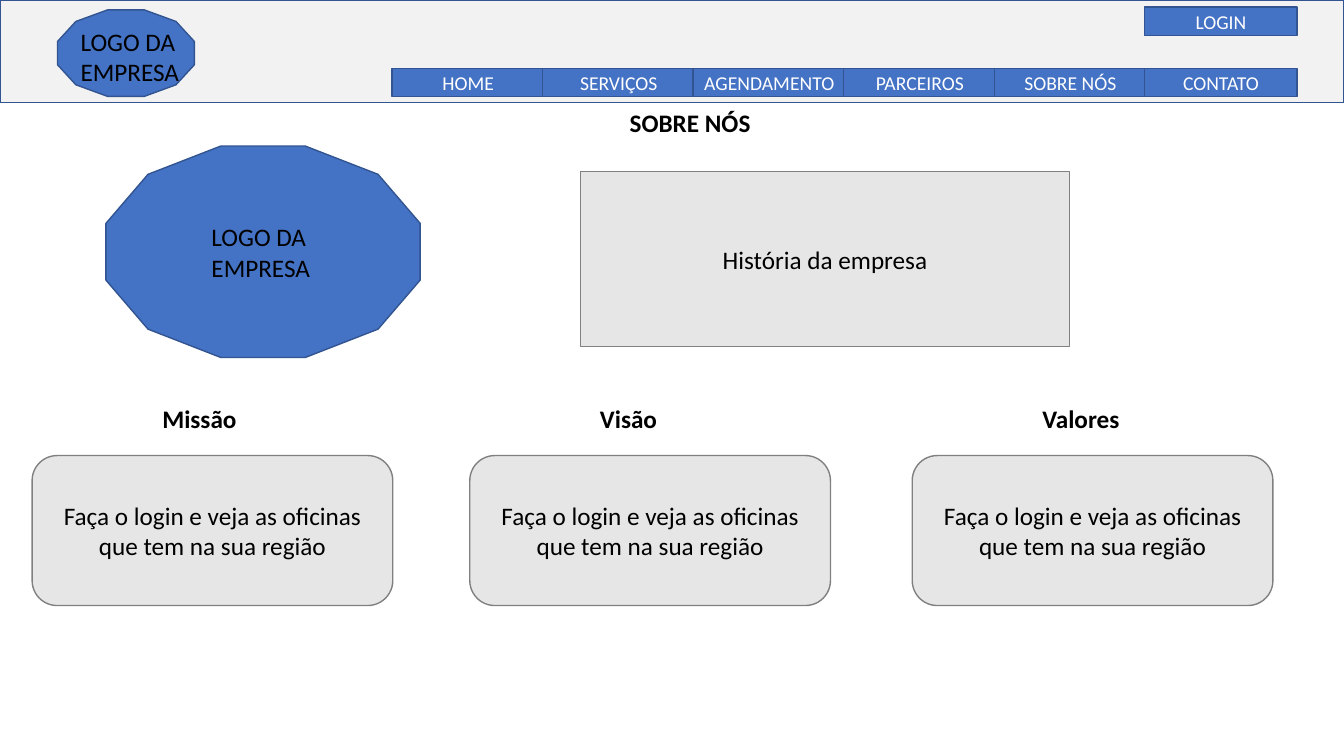
from pptx import Presentation
from pptx.dml.color import RGBColor
from pptx.enum import shapes, text
from pptx.util import Cm, Pt

COLORS = {
    "band": "F2F2F2", "blue": "4472C4", "navy": "325491",
    "panel": "E7E6E6", "gray": "808080", "black": "000000", "white": "FFFFFF",
}
FONT = "Calibri"
RECT = shapes.MSO_SHAPE.RECTANGLE
ROUNDED = shapes.MSO_SHAPE.ROUNDED_RECTANGLE
DODECAGON = shapes.MSO_SHAPE.DODECAGON

MENU = ["HOME", "SERVIÇOS", "AGENDAMENTO", "PARCEIROS", "SOBRE NÓS", "CONTATO"]
LOGIN = "LOGIN"
PAGE_TITLE = "SOBRE NÓS"
HISTORY = "História da empresa"
LOGO = "LOGO DA EMPRESA"
LOGOS = [
    ((1.45, 0.25, 3.45, 2.18), (1.78, 0.53)),
    ((2.67, 3.68, 7.92, 5.33), (5.08, 5.46)),
]
CARD_TEXT = "Faça o login e veja as oficinas que tem na sua região"
CARDS = [("Missão", 0.81), ("Visão", 11.84), ("Valores", 22.99)]

SLIDE_W, SLIDE_H = 33.87, 19.05
MENU_LEFT, MENU_RIGHT, MENU_TOP = 9.88, 28.85, 1.73
BUTTON_W, BUTTON_H = 3.84, 0.71
CARD_TOP, CARD_W, CARD_H = 11.48, 9.09, 3.78
HEADING_TOP, HEADING_INSET = 10.03, 3.03

prs = Presentation()
prs.slide_width, prs.slide_height = Cm(SLIDE_W), Cm(SLIDE_H)
slide = prs.slides.add_slide(prs.slide_layouts[6])


def color(name):
    return RGBColor.from_string(COLORS[name])


def write(frame, words, size, ink, bold=False, align=text.PP_ALIGN.LEFT):
    frame.word_wrap = True
    paragraph = frame.paragraphs[0]
    paragraph.text = words
    paragraph.alignment = align
    font = paragraph.font
    font.name, font.size, font.bold = FONT, Pt(size), bold
    font.color.rgb = color(ink)


def add_block(kind, box, fill, line, words="", size=18, ink="black"):
    block = slide.shapes.add_shape(kind, *map(Cm, box))
    block.shadow.inherit = False
    block.fill.solid()
    block.fill.fore_color.rgb = color(fill)
    block.line.color.rgb = color(line)
    block.line.width = Pt(1)
    if words:
        block.text_frame.vertical_anchor = text.MSO_ANCHOR.MIDDLE
        write(block.text_frame, words, size, ink, align=text.PP_ALIGN.CENTER)


def add_label(box, words, bold=False):
    label = slide.shapes.add_textbox(*map(Cm, box))
    write(label.text_frame, words, 18, "black", bold)


def add_button(left, top, words):
    add_block(RECT, (left, top, BUTTON_W, BUTTON_H), "blue", "navy", words, 14, "white")


add_block(RECT, (0, 0, SLIDE_W, 2.59), "band", "navy")

for emblem, (label_left, label_top) in LOGOS:
    add_block(DODECAGON, emblem, "blue", "navy")
    add_label((label_left, label_top, 3.12, 1.8), LOGO)

menu_step = (MENU_RIGHT - MENU_LEFT) / (len(MENU) - 1)
for i, entry in enumerate(MENU):
    add_button(MENU_LEFT + i * menu_step, MENU_TOP, entry)
add_button(MENU_RIGHT, 0.18, LOGIN)

add_label((15.62, 2.59, 3.76, 1.02), PAGE_TITLE, True)
add_block(RECT, (14.63, 4.32, 12.32, 4.42), "panel", "gray", HISTORY)

for heading, left in CARDS:
    add_label((left + HEADING_INSET, HEADING_TOP, 3.02, 1.02), heading, True)
    add_block(ROUNDED, (left, CARD_TOP, CARD_W, CARD_H), "panel", "gray", CARD_TEXT)

prs.save("out.pptx")
